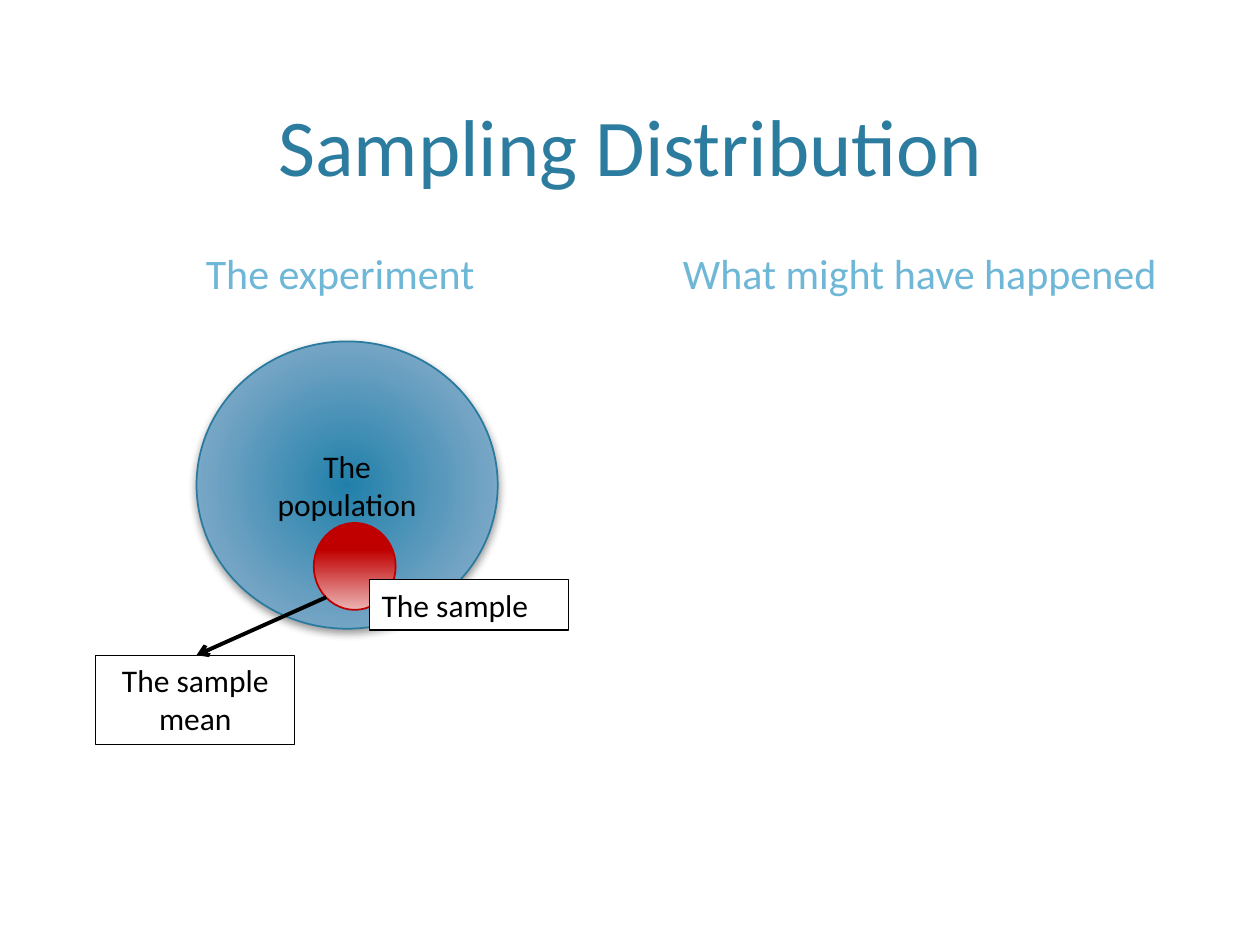
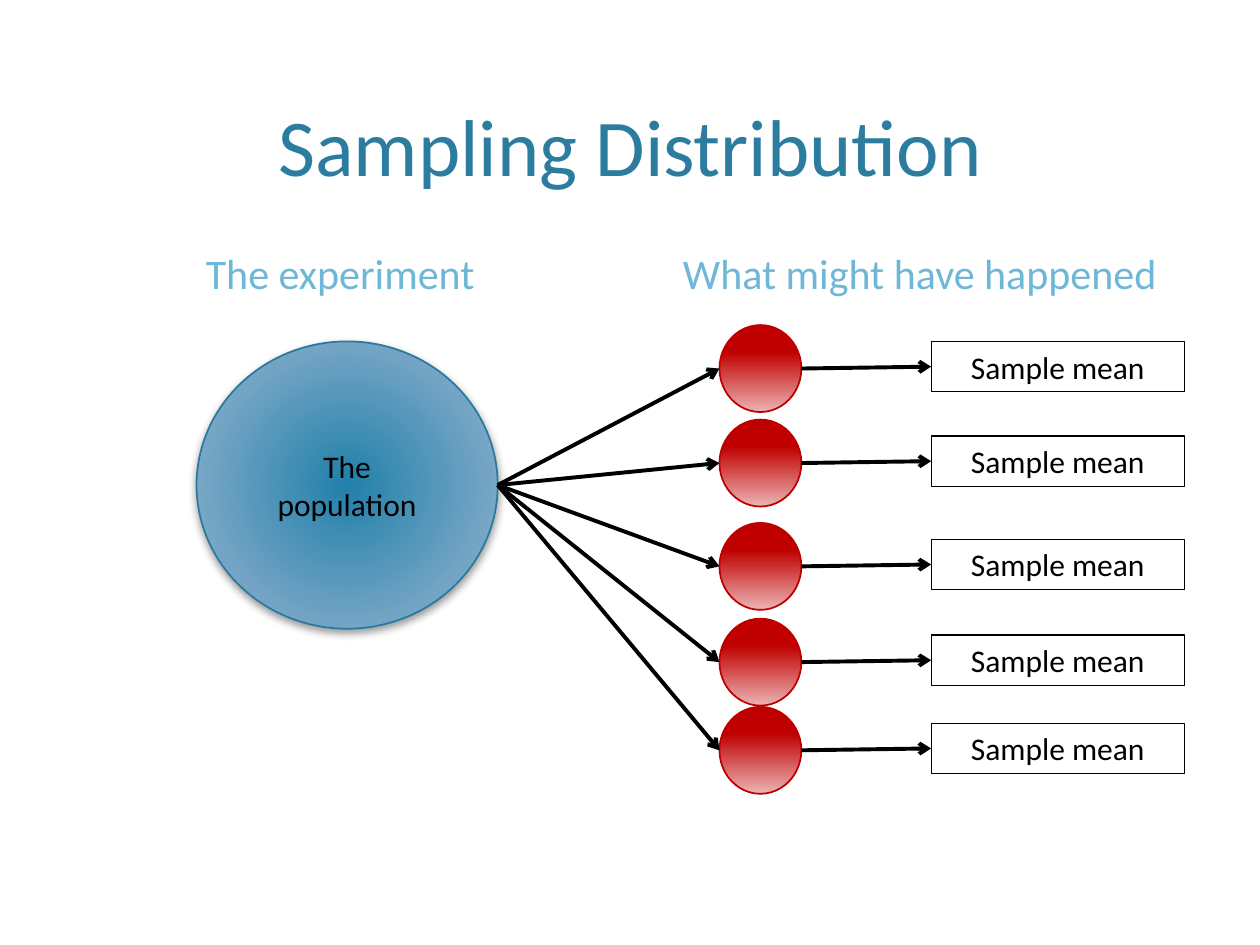
from dataclasses import dataclass

from lxml import etree
from pptx import Presentation
from pptx.dml.color import RGBColor
from pptx.enum.shapes import MSO_CONNECTOR, MSO_SHAPE
from pptx.enum.text import MSO_ANCHOR, MSO_AUTO_SIZE, PP_ALIGN
from pptx.oxml import parse_xml
from pptx.oxml.ns import nsdecls, qn
from pptx.util import Inches, Pt

OVAL = MSO_SHAPE.OVAL
STRAIGHT = MSO_CONNECTOR.STRAIGHT
TOP, MIDDLE, BOTTOM = MSO_ANCHOR.TOP, MSO_ANCHOR.MIDDLE, MSO_ANCHOR.BOTTOM
LEFT, CENTER = PP_ALIGN.LEFT, PP_ALIGN.CENTER
NO_AUTOFIT = MSO_AUTO_SIZE.NONE

FONT = "Calibri"
TITLE_COLOR, HEADING_COLOR, BLACK, WHITE = "2C7C9F", "6FB7D7", "000000", "FFFFFF"
TITLE_ONLY_LAYOUT = 5


@dataclass(frozen=True)
class Box:
    left: float
    top: float
    width: float
    height: float

    def lengths(self) -> tuple:
        return tuple(Inches(n) for n in (self.left, self.top, self.width, self.height))

    @property
    def right(self) -> float:
        return self.left + self.width

    @property
    def middle(self) -> float:
        return self.top + self.height / 2


@dataclass(frozen=True)
class CircleStyle:
    stops: tuple  # (position in percent, colour)
    direction: str  # XML for the course of the gradient
    line: str
    shadow: bool = False


POPULATION_STYLE = CircleStyle(
    ((0, "2180AA"), (69, "75A5C5"), (100, "B8CCDC")),
    '<a:path path="circle"><a:fillToRect l="100000" t="100000" r="100000" b="100000"/></a:path>',
    "287A9E", shadow=True)
SAMPLE_STYLE = CircleStyle(
    ((31, "C00000"), (100, "ECB3B3")), '<a:lin ang="5400000" scaled="0"/>', "BC0000")

TITLE_BOX = Box(0.6, 0.12, 8.8, 1.46)
HEADINGS = {
    "The experiment": Box(0.6, 1.59, 4.2, 0.82),
    "What might have happened": Box(5.2, 1.59, 4.2, 0.82),
}
POPULATION_BOX = Box(1.56, 2.71, 2.39, 2.28)
SAMPLE_WIDTH, SAMPLE_HEIGHT = 0.65, 0.69
SAMPLE_TOPS = (2.58, 3.33, 4.15, 4.91, 5.61)


def color(value: str) -> RGBColor:
    return RGBColor.from_string(value)


def write(shape, paragraphs: list[str], size: float, text_color: str,
          anchor=TOP, align=CENTER) -> None:
    frame = shape.text_frame
    frame.word_wrap = True
    frame.auto_size = NO_AUTOFIT
    frame.vertical_anchor = anchor
    for index, text in enumerate(paragraphs):
        paragraph = frame.add_paragraph() if index else frame.paragraphs[0]
        paragraph.alignment = align
        run = paragraph.add_run()
        run.text = text
        run.font.name = FONT
        run.font.size = Pt(size)
        run.font.color.rgb = color(text_color)


def add_circle(slide, box: Box, style: CircleStyle):
    shape = slide.shapes.add_shape(OVAL, *box.lengths())
    shape.line.color.rgb = color(style.line)
    shape.line.width = Pt(1)
    shape.shadow.inherit = False
    properties = shape.element.spPr

    # Gradient takes the place of the plain fill
    shape.fill.background()
    stops = "".join(f'<a:gs pos="{position * 1000}"><a:srgbClr val="{value}"/></a:gs>'
                    for position, value in style.stops)
    gradient = parse_xml(f'<a:gradFill {nsdecls("a")} rotWithShape="1">'
                         f'<a:gsLst>{stops}</a:gsLst>{style.direction}</a:gradFill>')
    properties.replace(properties.find(qn("a:noFill")), gradient)

    if style.shadow:
        properties.find(qn("a:effectLst")).append(parse_xml(
            f'<a:outerShdw {nsdecls("a")} blurRad="{Pt(5)}" dist="{Pt(2)}" dir="5400000" '
            f'rotWithShape="0"><a:srgbClr val="{BLACK}"><a:alpha val="40000"/></a:srgbClr>'
            '</a:outerShdw>'))
    return shape


def add_label(slide, box: Box, paragraphs: list[str], align=CENTER,
              fill: str | None = None) -> None:
    label = slide.shapes.add_textbox(*box.lengths())
    label.line.color.rgb = color(BLACK)
    label.line.width = Pt(0.75)
    if fill:
        label.fill.solid()
        label.fill.fore_color.rgb = color(fill)
    write(label, paragraphs, 18, BLACK, align=align)


def add_arrow(slide, start: tuple[float, float], end: tuple[float, float]) -> None:
    ends = [Inches(n) for n in (*start, *end)]
    connector = slide.shapes.add_connector(STRAIGHT, *ends)
    connector.line.color.rgb = color(BLACK)
    connector.line.width = Pt(2.25)
    properties = connector.element.spPr
    etree.SubElement(properties.find(qn("a:ln")), qn("a:tailEnd"), type="arrow")
    etree.SubElement(properties, qn("a:effectLst"))


def add_base_slide(presentation):
    """Title, column headings and the population circle."""
    slide = presentation.slides.add_slide(presentation.slide_layouts[TITLE_ONLY_LAYOUT])
    title = slide.shapes.title
    title.left, title.top, title.width, title.height = TITLE_BOX.lengths()
    write(title, ["Sampling Distribution"], 46, TITLE_COLOR, BOTTOM)
    for text, box in HEADINGS.items():
        heading = slide.shapes.add_textbox(*box.lengths())
        write(heading, [text], 24, HEADING_COLOR, BOTTOM)
    population = add_circle(slide, POPULATION_BOX, POPULATION_STYLE)
    write(population, ["The population"], 18, BLACK, MIDDLE)
    return slide


def add_experiment_slide(presentation) -> None:
    slide = add_base_slide(presentation)
    add_circle(slide, Box(2.49, 4.15, SAMPLE_WIDTH, SAMPLE_HEIGHT), SAMPLE_STYLE)
    add_label(slide, Box(2.93, 4.6, 1.58, 0.4), ["The sample"], LEFT, WHITE)
    add_label(slide, Box(0.76, 5.2, 1.58, 0.71), ["The sample", "mean"])
    add_arrow(slide, (2.59, 4.74), (1.56, 5.2))


def add_possible_samples_slide(presentation) -> None:
    slide = add_base_slide(presentation)
    for top in SAMPLE_TOPS:
        sample = Box(5.71, top, SAMPLE_WIDTH, SAMPLE_HEIGHT)
        mean = Box(7.39, top + 0.13, 2.01, 0.4)
        add_circle(slide, sample, SAMPLE_STYLE)
        add_label(slide, mean, ["Sample mean"])
        add_arrow(slide, (POPULATION_BOX.right, POPULATION_BOX.middle),
                  (sample.left, sample.middle))
        add_arrow(slide, (sample.right, sample.middle), (mean.left, mean.middle))


def main() -> None:
    presentation = Presentation()
    presentation.slide_width, presentation.slide_height = Inches(10), Inches(7.5)
    add_experiment_slide(presentation)
    add_possible_samples_slide(presentation)
    presentation.save("out.pptx")


if __name__ == "__main__":
    main()
